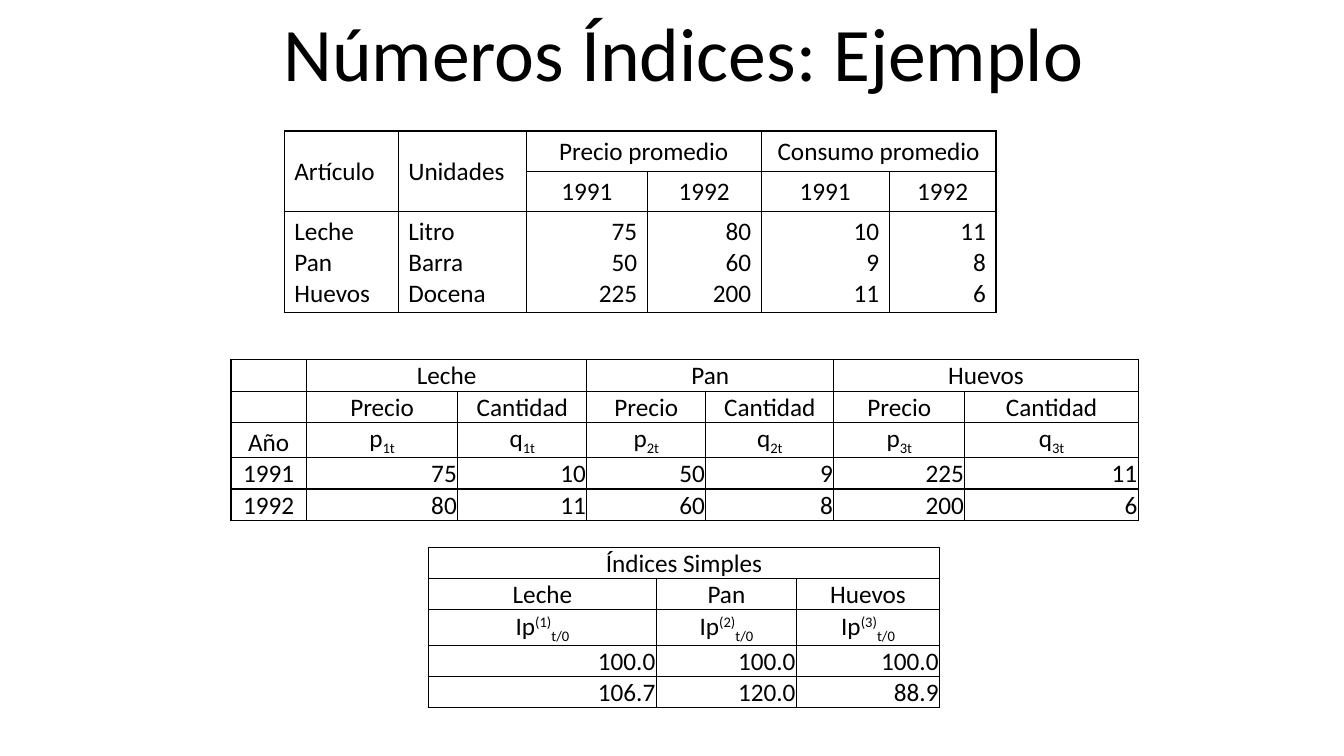
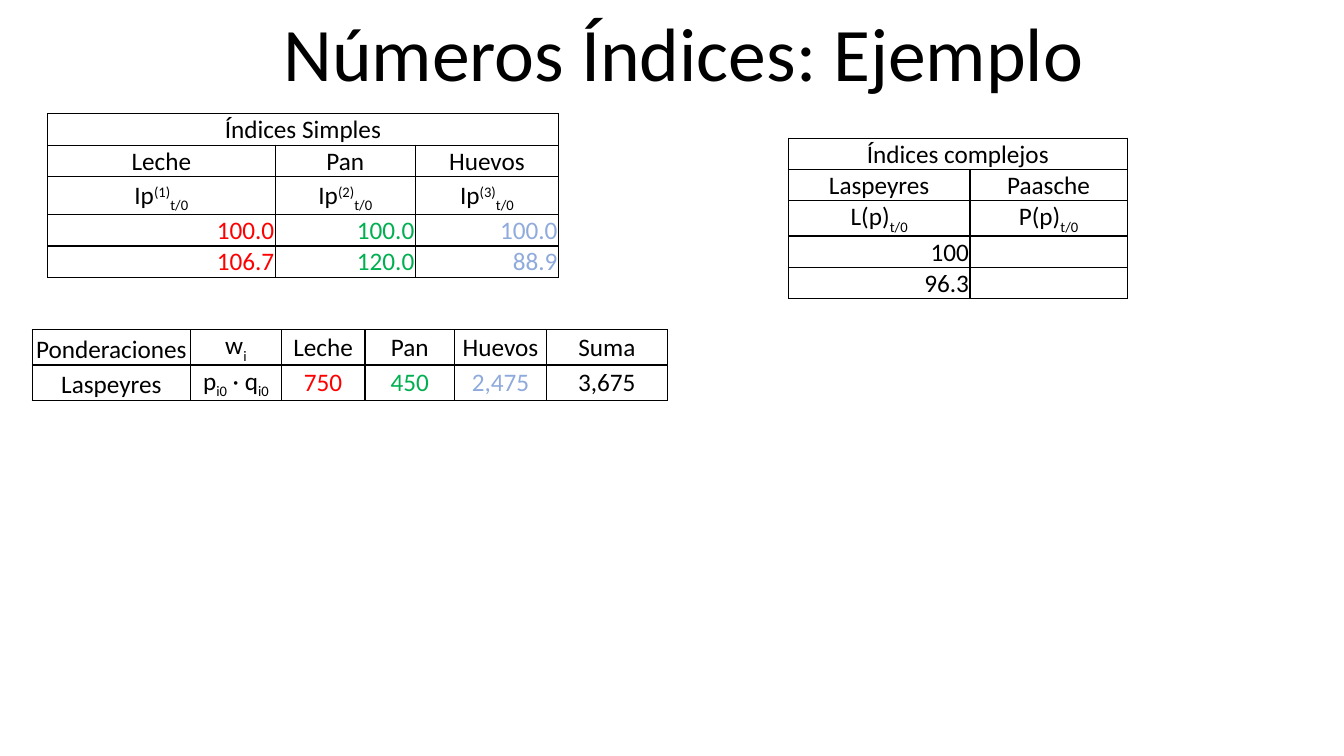
from dataclasses import dataclass, field

from pptx import Presentation
from pptx.dml.color import RGBColor
from pptx.enum.text import MSO_ANCHOR, MSO_AUTO_SIZE, PP_ALIGN
from pptx.oxml import parse_xml
from pptx.oxml.ns import nsdecls
from pptx.slide import Slide
from pptx.table import _Cell
from pptx.text.text import _Paragraph
from pptx.util import Emu, Pt

# Shared look: 100 px to the inch
EMU_PER_PX = 9144
BLACK = RGBColor(0x00, 0x00, 0x00)
RED = RGBColor(0xFF, 0x00, 0x00)
GREEN = RGBColor(0x00, 0xB0, 0x50)
BLUE = RGBColor(0x8F, 0xAA, 0xDC)
PRODUCT_COLOURS = (RED, GREEN, BLUE)
FONT = "Calibri"
TITLE = "Números Índices: Ejemplo"
TITLE_BOX = {"left": 267, "top": 0, "width": 822, "height": 101}
TITLE_ONLY = 5
ALIGNS = {"l": PP_ALIGN.LEFT, "c": PP_ALIGN.CENTER, "r": PP_ALIGN.RIGHT}
ANCHORS = {"m": MSO_ANCHOR.MIDDLE, "b": MSO_ANCHOR.BOTTOM}
BASELINES = {"^": "30000", "_": "-25000"}
BORDER_SIDES = ("lnL", "lnR", "lnT", "lnB")
WIDE_MARGINS = {"margin_left": 10, "margin_right": 10, "margin_top": 5, "margin_bottom": 5}
TIGHT_MARGINS = {"margin_left": 1, "margin_right": 1, "margin_top": 1, "margin_bottom": 0}
INDEX_ROWS = (31, 31, 35, 31, 31)
PRODUCTS = ("Leche", "Pan", "Huevos")


@dataclass(frozen=True)
class Grid:
    """A ruled table; aligns has one letter per cell, anchors one per column.

    In a cell, "|" parts the runs, and a run led by ^ or _ is raised or lowered.
    A span is row, column, last row, last column.
    """
    left: int
    top: int
    cols: tuple[int, ...]
    rows: tuple[int, ...]
    cells: tuple[tuple[str, ...], ...]
    aligns: tuple[str, ...]
    anchors: str
    spans: tuple[tuple[int, int, int, int], ...] = ()
    margins: dict[str, int] = field(default_factory=lambda: TIGHT_MARGINS)
    value_row: int = 0
    value_colours: dict[int, RGBColor] = field(default_factory=dict)


def px(length: int) -> Emu:
    return Emu(length * EMU_PER_PX)


def set_font(font, size: int, colour: RGBColor) -> None:
    for name, value in {"name": FONT, "size": Pt(size)}.items():
        setattr(font, name, value)
    font.color.rgb = colour


def write_runs(paragraph: _Paragraph, text: str, colour: RGBColor) -> None:
    for line_number, line in enumerate(text.split("\n")):
        if line_number:
            paragraph.add_line_break()
        for part in line.split("|"):
            baseline = BASELINES.get(part[:1])
            run = paragraph.add_run()
            run.text = part[1:] if baseline else part
            set_font(run.font, 18, colour)
            if baseline:
                run.font._element.set("baseline", baseline)


def rule_cell(cell: _Cell) -> None:
    properties = cell._tc.get_or_add_tcPr()
    for side in BORDER_SIDES:
        properties.append(parse_xml(
            f'<a:{side} {nsdecls("a")} w="12700"><a:solidFill>'
            f'<a:srgbClr val="{BLACK}"/></a:solidFill></a:{side}>'))
    cell.fill.background()


def draw_grid(slide: Slide, grid: Grid) -> None:
    table = slide.shapes.add_table(
        len(grid.rows), len(grid.cols), px(grid.left), px(grid.top),
        px(sum(grid.cols)), px(sum(grid.rows))).table
    table.first_row = table.horz_banding = False
    for column, width in zip(table.columns, grid.cols):
        column.width = px(width)
    for row, height in zip(table.rows, grid.rows):
        row.height = px(height)

    for r, texts in enumerate(grid.cells):
        for c, text in enumerate(texts):
            cell = table.cell(r, c)
            rule_cell(cell)
            for side, margin in grid.margins.items():
                setattr(cell, side, px(margin))
            cell.vertical_anchor = ANCHORS[grid.anchors[c]]
            paragraph = cell.text_frame.paragraphs[0]
            paragraph.alignment = ALIGNS[grid.aligns[r][c]]
            if text:
                is_value = r >= grid.value_row
                colour = grid.value_colours.get(c, BLACK) if is_value else BLACK
                write_runs(paragraph, text, colour)
            else:
                set_font(paragraph.font, 18, BLACK)

    for top, left, bottom, right in grid.spans:
        table.cell(top, left).merge(table.cell(bottom, right))


def simple_indices(left: int, top: int, rows: tuple[int, ...],
                   colours: dict[int, RGBColor]) -> Grid:
    return Grid(
        left, top, (226, 139, 142), rows,
        cells=(
            ("Índices Simples", "", ""),
            PRODUCTS,
            tuple(f"Ip|^({n})|_t/0" for n in (1, 2, 3)),
            ("100.0", "100.0", "100.0"),
            ("106.7", "120.0", "88.9"),
        ),
        aligns=("ccc",) * 3 + ("rrr",) * 2, anchors="bbb", spans=((0, 0, 0, 2),),
        value_row=3, value_colours=colours)


# Tables of the first slide
AVERAGES = Grid(
    282, 130, (113, 127, 120, 113, 127, 106), (40, 40, 100),
    cells=(
        ("Artículo", "Unidades", "Precio promedio", "", "Consumo promedio", ""),
        ("", "", "1991", "1992", "1991", "1992"),
        ("Leche\nPan\nHuevos", "Litro\nBarra\nDocena", "75\n50\n225",
         "80\n60\n200", "10\n9\n11", "11\n8\n6"),
    ),
    aligns=("llcccc", "llcccc", "llrrrr"), anchors="mmmmmm",
    spans=((0, 0, 1, 0), (0, 1, 1, 1), (0, 2, 0, 3), (0, 4, 0, 5)),
    margins=WIDE_MARGINS)

BY_YEAR = Grid(
    229, 357, (75, 150, 128, 118, 127, 130, 172), INDEX_ROWS,
    cells=(
        ("", "Leche", "", "Pan", "", "Huevos", ""),
        ("",) + ("Precio", "Cantidad") * 3,
        ("Año",) + tuple(f"{letter}|_{n}t" for n in (1, 2, 3) for letter in "pq"),
        ("1991", "75", "10", "50", "9", "225", "11"),
        ("1992", "80", "11", "60", "8", "200", "6"),
    ),
    aligns=("ccccccc",) * 3 + ("crrrrrr",) * 2, anchors="bbbbbbb",
    spans=tuple((0, c, 0, c + 1) for c in (1, 3, 5)))

# Tables of the second slide
WEIGHTS = Grid(
    32, 327, (157, 90, 83, 89, 91, 120), (35, 35),
    cells=(
        ("Ponderaciones", "w|_i", *PRODUCTS, "Suma"),
        ("Laspeyres", "p|_i0| · q|_i0", "750", "450", "2,475", "3,675"),
    ),
    aligns=("cccccc",) * 2, anchors="bbmmmm",
    value_row=1, value_colours=dict(enumerate(PRODUCT_COLOURS, start=2)))

COMPLEX_INDICES = Grid(
    782, 137, (180, 156), INDEX_ROWS,
    cells=(
        ("Índices complejos", ""),
        ("Laspeyres", "Paasche"),
        ("L(p)|_t/0", "P(p)|_t/0"),
        ("100", ""),
        ("96.3", ""),
    ),
    aligns=("cc",) * 3 + ("rr",) * 2, anchors="bb", spans=((0, 0, 0, 1),))

SLIDES = (
    (AVERAGES, BY_YEAR, simple_indices(425, 543, INDEX_ROWS, {})),
    (simple_indices(47, 113, (31, 31, 38, 31, 31), dict(enumerate(PRODUCT_COLOURS))),
     WEIGHTS, COMPLEX_INDICES),
)


def add_titled_slide(deck) -> Slide:
    slide = deck.slides.add_slide(deck.slide_layouts[TITLE_ONLY])
    title = slide.shapes.title
    for name, length in TITLE_BOX.items():
        setattr(title, name, px(length))
    frame = title.text_frame
    frame.text = TITLE
    for name, value in {"word_wrap": False,
                        "auto_size": MSO_AUTO_SIZE.SHAPE_TO_FIT_TEXT}.items():
        setattr(frame, name, value)
    heading = frame.paragraphs[0]
    heading.alignment = PP_ALIGN.CENTER
    set_font(heading.runs[0].font, 54, BLACK)
    return slide


def main() -> None:
    deck = Presentation()
    deck.slide_width, deck.slide_height = px(1333), px(750)
    for grids in SLIDES:
        slide = add_titled_slide(deck)
        for grid in grids:
            draw_grid(slide, grid)
    deck.save("out.pptx")


if __name__ == "__main__":
    main()
